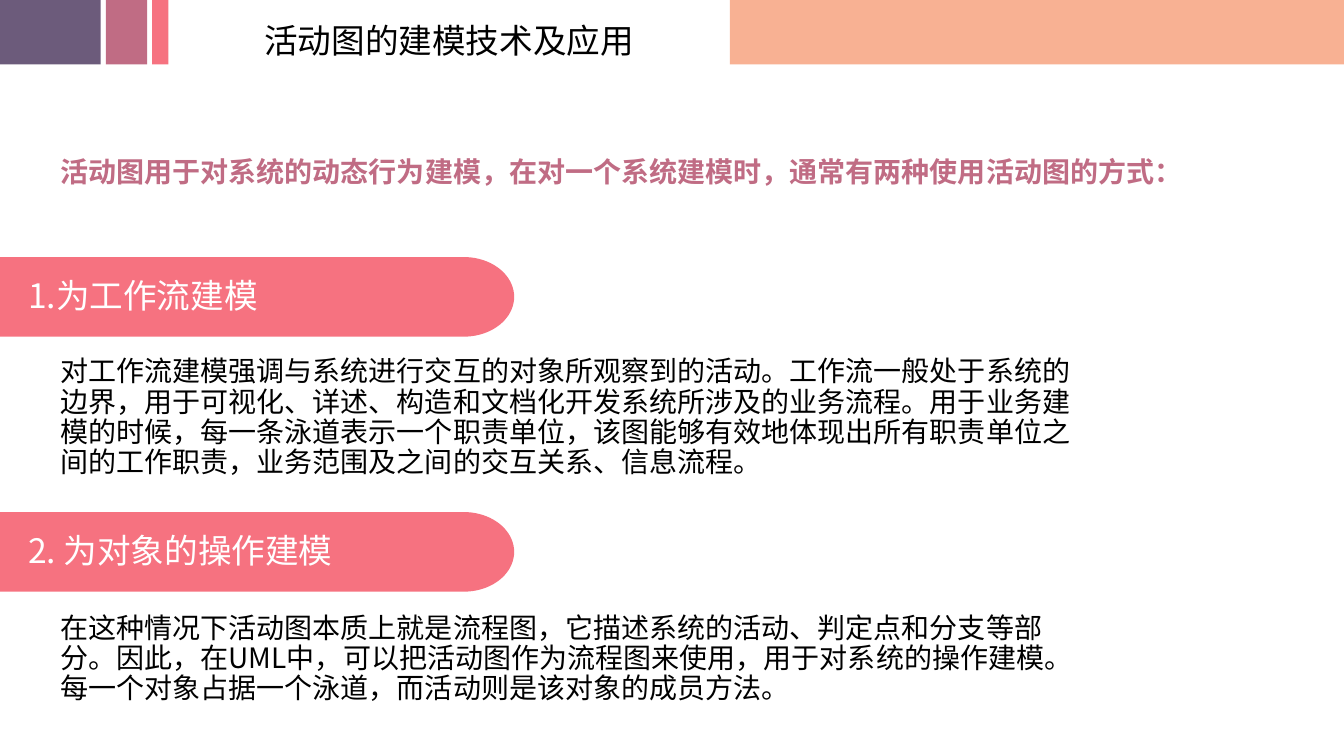
from math import cos, pi, sin

from lxml import etree
from pptx import Presentation
from pptx.dml.color import RGBColor
from pptx.enum.shapes import MSO_SHAPE
from pptx.enum.text import MSO_AUTO_SIZE, PP_ALIGN
from pptx.oxml.ns import qn
from pptx.util import Pt

PX = 9144  # EMU per px, 100 px to the inch
RECT = MSO_SHAPE.RECTANGLE
GROW = MSO_AUTO_SIZE.SHAPE_TO_FIT_TEXT
LEFT, CENTER = PP_ALIGN.LEFT, PP_ALIGN.CENTER

PEACH = RGBColor(0xF8, 0xB1, 0x93)
PURPLE = RGBColor(0x6C, 0x5B, 0x7B)
MAUVE = RGBColor(0xC0, 0x6C, 0x84)
CORAL = RGBColor(0xF6, 0x72, 0x80)
BLACK = RGBColor(0, 0, 0)
WHITE = RGBColor(255, 255, 255)

INTRO = "活动图用于对系统的动态行为建模，在对一个系统建模时，通常有两种使用活动图的方式："
FLOW = (
    "对工作流建模强调与系统进行交互的对象所观察到的活动。工作流一般处于系统的边界，"
    "用于可视化、详述、构造和文档化开发系统所涉及的业务流程。用于业务建模的时候，"
    "每一条泳道表示一个职责单位，该图能够有效地体现出所有职责单位之间的工作职责，"
    "业务范围及之间的交互关系、信息流程。"
)
OBJECT = (
    "在这种情况下活动图本质上就是流程图，它描述系统的活动、判定点和分支等部分。"
    "因此，在UML中，可以把活动图作为流程图来使用，用于对系统的操作建模。"
    "每一个对象占据一个泳道，而活动则是该对象的成员方法。"
)


class Painter:
    def __init__(self, slide, font):
        self.shapes = slide.shapes
        self.font = font

    def paint(self, shape, color):
        shape.shadow.inherit = False
        shape.fill.solid()
        shape.fill.fore_color.rgb = color
        shape.line.fill.background()

    def bar(self, x, y, w, h, color):
        shape = self.shapes.add_shape(RECT, x * PX, y * PX, w * PX, h * PX)
        self.paint(shape, color)

    def tab(self, y, w=510, h=79, cap=50, steps=40):
        """Draw a band from the left edge that ends in a half ellipse."""
        angles = [pi * (i / steps - 0.5) for i in range(steps + 1)]
        curve = [
            ((w - cap + cap * cos(a)) * PX, (y + h / 2 * (1 + sin(a))) * PX)
            for a in angles
        ]
        form = self.shapes.build_freeform(0, y * PX)
        form.add_line_segments(curve + [(0, (y + h) * PX)], close=True)
        self.paint(form.convert_to_shape(), CORAL)

    def text(self, x, y, w, h, words, size, color,
             bold=False, align=LEFT, tight=True, wrap=True):
        """Add a text box; tight sets 0.9 line spacing and 10 pt before."""
        box = self.shapes.add_textbox(x * PX, y * PX, w * PX, h * PX)
        frame = box.text_frame
        frame.word_wrap = wrap
        frame.auto_size = GROW
        para = frame.paragraphs[0]
        para.alignment = align
        if tight:
            para.line_spacing = 0.9
            para.space_before = Pt(10)
        run = para.add_run()
        run.text = words
        font = run.font
        font.size = Pt(size)
        font.bold = bold
        font.color.rgb = color
        font.name = self.font
        east = etree.SubElement(run._r.get_or_add_rPr(), qn("a:ea"))
        east.set("typeface", self.font)


def main():
    deck = Presentation()
    deck.slide_width, deck.slide_height = 1333 * PX, 750 * PX
    slide = deck.slides.add_slide(deck.slide_layouts[6])
    pen = Painter(slide, "Noto Sans CJK SC")

    for x, w, color in [(724, 609, PEACH), (0, 100, PURPLE),
                        (105, 41, MAUVE), (151, 16, CORAL)]:
        pen.bar(x, 0, w, 64, color)
    pen.text(225, 15, 441, 50, "活动图的建模技术及应用", 24, BLACK,
             align=CENTER, tight=False)
    pen.text(50, 152, 1149, 40, INTRO, 20, MAUVE, bold=True, wrap=False)

    pen.tab(255)
    pen.text(18, 272, 382, 46, "1.为工作流建模", 24, WHITE)
    pen.text(50, 350, 1046, 131, FLOW, 20, BLACK)

    pen.tab(508)
    pen.text(18, 521, 382, 50, "2. 为对象的操作建模", 24, WHITE, tight=False)
    pen.text(50, 604, 996, 101, OBJECT, 20, BLACK)

    deck.save("out.pptx")


if __name__ == "__main__":
    main()
